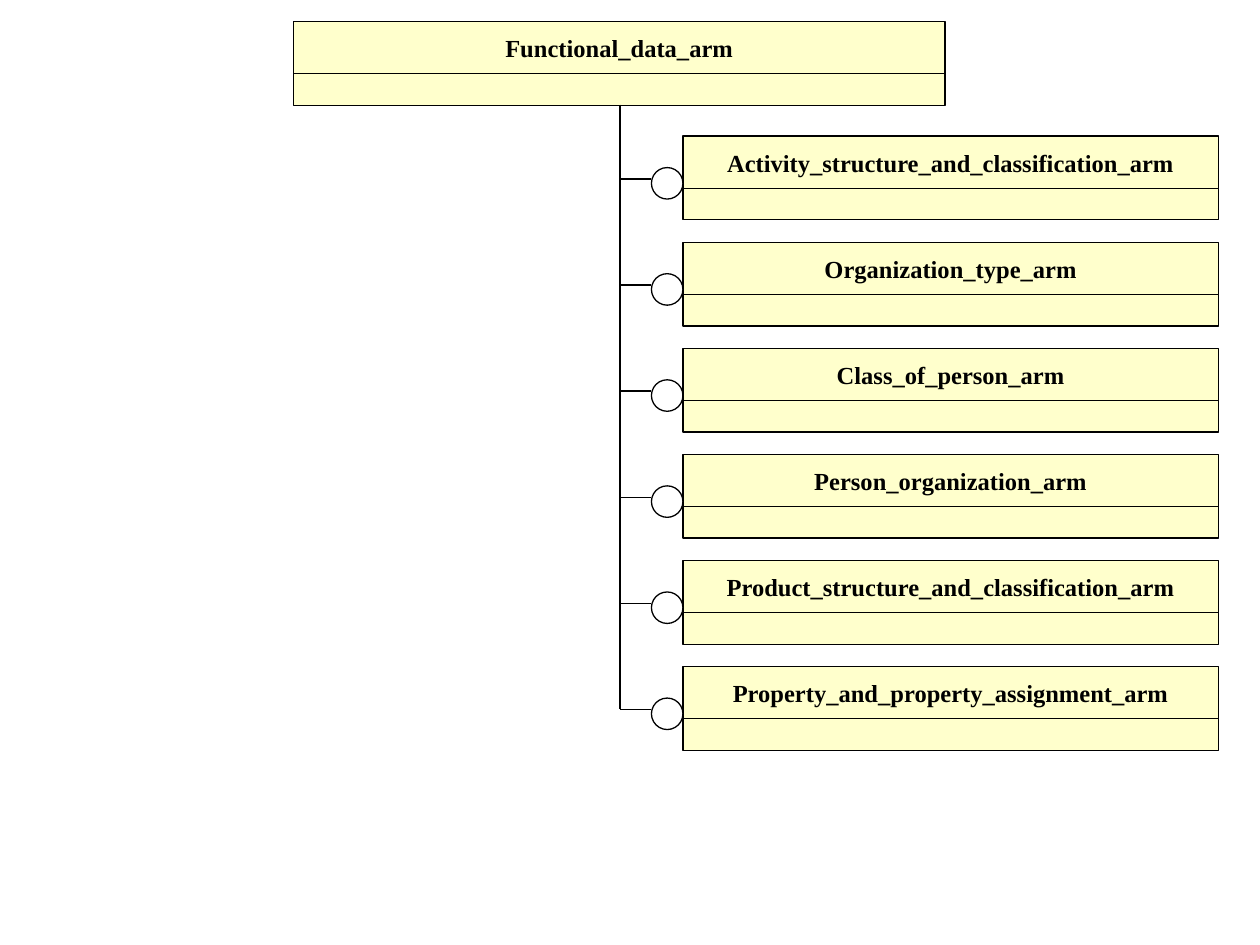
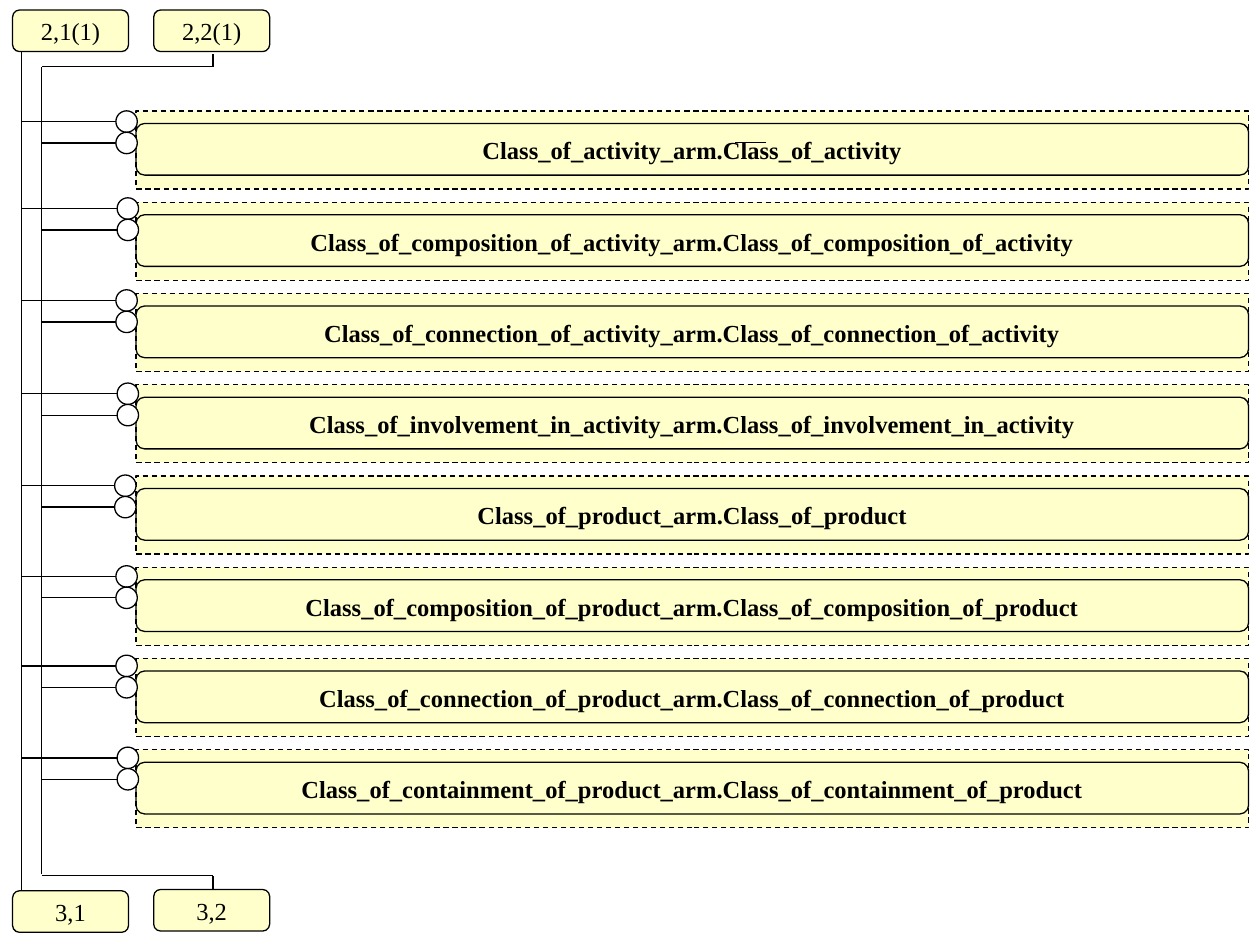
import pptx
import pptx.dml.color
import pptx.enum.dml
import pptx.enum.shapes
import pptx.enum.text
import pptx.oxml.ns
import pptx.util
from lxml import etree

Inches = pptx.util.Inches
Shape = pptx.enum.shapes.MSO_SHAPE

COLOURS = {"entity": "FFFFCC", "line": "000000", "circle": "FFFFFF", "text": "000000"}
FONT = "Times New Roman"
FONT_SIZE = 14
LINE_WIDTH = 0.75

ROOT_SCHEMA = "Functional_data_arm"
USED_SCHEMAS = [
    "Activity_structure_and_classification_arm",
    "Organization_type_arm",
    "Class_of_person_arm",
    "Person_organization_arm",
    "Product_structure_and_classification_arm",
    "Property_and_property_assignment_arm",
]

REFERENCED_ENTITIES = [
    ("Class_of_activity_arm.Class_of_activity", 0.92, 0.88),
    ("Class_of_composition_of_activity_arm.Class_of_composition_of_activity", 0.93, 1.57),
    ("Class_of_connection_of_activity_arm.Class_of_connection_of_activity", 0.92, 2.3),
    ("Class_of_involvement_in_activity_arm.Class_of_involvement_in_activity", 0.93, 3.04),
    ("Class_of_product_arm.Class_of_product", 0.91, 3.77),
    ("Class_of_composition_of_product_arm.Class_of_composition_of_product", 0.92, 4.49),
    ("Class_of_connection_of_product_arm.Class_of_connection_of_product", 0.92, 5.2),
    ("Class_of_containment_of_product_arm.Class_of_containment_of_product", 0.93, 5.93),
]
PAGE_REFERENCES = [
    ("2,1(1)", 0.1, 0.08),
    ("2,2(1)", 1.22, 0.08),
    ("3,1", 0.1, 7.07),
    ("3,2", 1.22, 7.06),
]


def colour(name):
    return pptx.dml.color.RGBColor.from_string(COLOURS[name])


def style_line(line, dashed=False):
    line.color.rgb = colour("line")
    line.width = pptx.util.Pt(LINE_WIDTH)
    if dashed:
        line.dash_style = pptx.enum.dml.MSO_LINE.DASH


def write_text(box, text, bold=False):
    frame = box.text_frame
    frame.word_wrap = False
    frame.vertical_anchor = pptx.enum.text.MSO_ANCHOR.MIDDLE
    para = frame.paragraphs[0]
    para.alignment = pptx.enum.text.PP_ALIGN.CENTER
    span = para.add_run()
    span.text = text
    span.font.name = FONT
    span.font.size = pptx.util.Pt(FONT_SIZE)
    span.font.bold = bold
    span.font.color.rgb = colour("text")


def add_box(page, kind, left, top, width, height, fill="entity", dashed=False, text="", bold=False):
    box = page.shapes.add_shape(kind, Inches(left), Inches(top), Inches(width), Inches(height))
    box.shadow.inherit = False
    if fill:
        box.fill.solid()
        box.fill.fore_color.rgb = colour(fill)
    else:
        box.fill.background()
    style_line(box.line, dashed)
    if text:
        write_text(box, text, bold)


def add_line(page, start_x, start_y, end_x, end_y):
    line = page.shapes.add_connector(
        pptx.enum.shapes.MSO_CONNECTOR.STRAIGHT,
        Inches(start_x), Inches(start_y), Inches(end_x), Inches(end_y),
    )
    style_line(line.line)
    etree.SubElement(line._element.spPr, pptx.oxml.ns.qn("a:effectLst"))


def add_circle(page, left, top, size):
    add_box(page, Shape.OVAL, left, top, size, size, fill="circle")


def add_schema(page, name, left, top, width):
    add_box(page, Shape.RECTANGLE, left, top, width, 0.42, text=name, bold=True)
    add_box(page, Shape.RECTANGLE, left, top + 0.415, width, 0.25)


def build_schema_tree(page):
    trunk, circle_left, schema_left = 4.92, 5.17, 5.42
    first_top, last_top = 1.08, 5.29
    pitch = (last_top - first_top) / (len(USED_SCHEMAS) - 1)
    add_schema(page, ROOT_SCHEMA, 2.33, 0.17, 5.17)
    add_line(page, trunk, 0.83, trunk, last_top + 0.34)
    for index, name in enumerate(USED_SCHEMAS):
        top = first_top + index * pitch
        add_schema(page, name, schema_left, top, 4.25)
        add_line(page, trunk, top + 0.34, circle_left, top + 0.34)
        add_circle(page, circle_left, top + 0.25, 0.25)


def build_entity_list(page):
    trunks = (0.17, 0.33)
    circle = 0.17
    left, width = 1.08, 8.83
    first_top, last_top = 0.88, 5.95
    pitch = (last_top - first_top) / (len(REFERENCED_ENTITIES) - 1)
    for index, (name, circle_left, circle_top) in enumerate(REFERENCED_ENTITIES):
        top = first_top + index * pitch
        add_box(page, Shape.RECTANGLE, left, top, width, 0.62, dashed=True, text=name, bold=True)
        add_box(page, Shape.ROUNDED_RECTANGLE, left, top + 0.1, width, 0.41, fill=None)
        for order, trunk in enumerate(trunks):
            branch_top = circle_top + order * circle
            middle = branch_top + circle / 2
            add_line(page, circle_left, middle, trunk, middle)
            add_circle(page, circle_left, branch_top, circle)
    add_line(page, 6.08, 1.13, 5.83, 1.13)

    outer, inner = trunks
    elbow = 1.69
    add_line(page, outer, 7.06, outer, 0.41)
    add_line(page, inner, 6.94, inner, 0.53)
    for bend, end in ((0.53, 0.43), (6.95, 7.06)):
        add_line(page, elbow, end, elbow, bend)
        add_line(page, elbow, bend, inner, bend)
    for name, reference_left, top in PAGE_REFERENCES:
        add_box(page, Shape.ROUNDED_RECTANGLE, reference_left, top, 0.92, 0.33, text=name)


def main():
    deck = pptx.Presentation()
    deck.slide_width = Inches(10)
    deck.slide_height = Inches(7.5)
    for build in (build_schema_tree, build_entity_list):
        build(deck.slides.add_slide(deck.slide_layouts[6]))
    deck.save("out.pptx")


if __name__ == "__main__":
    main()
